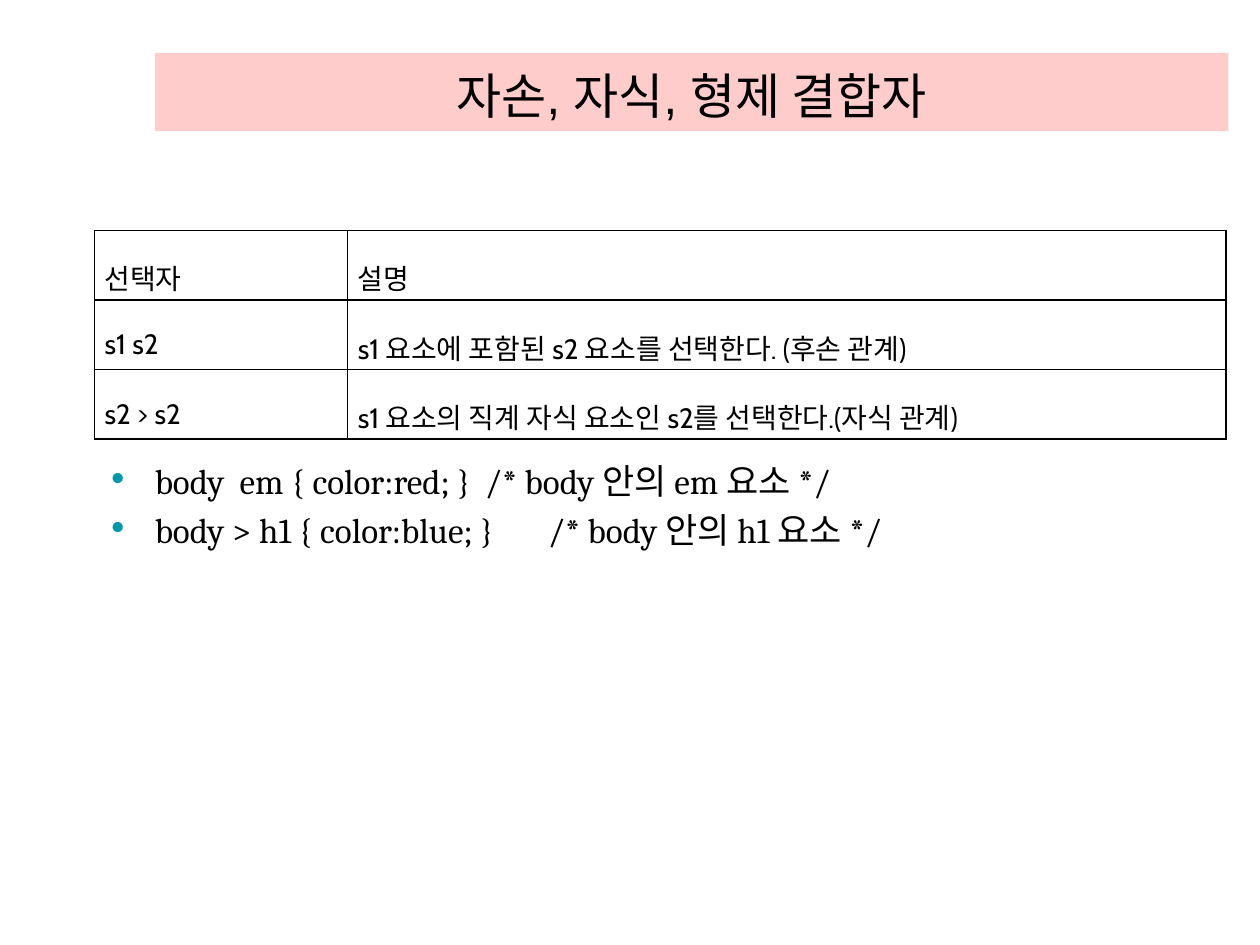
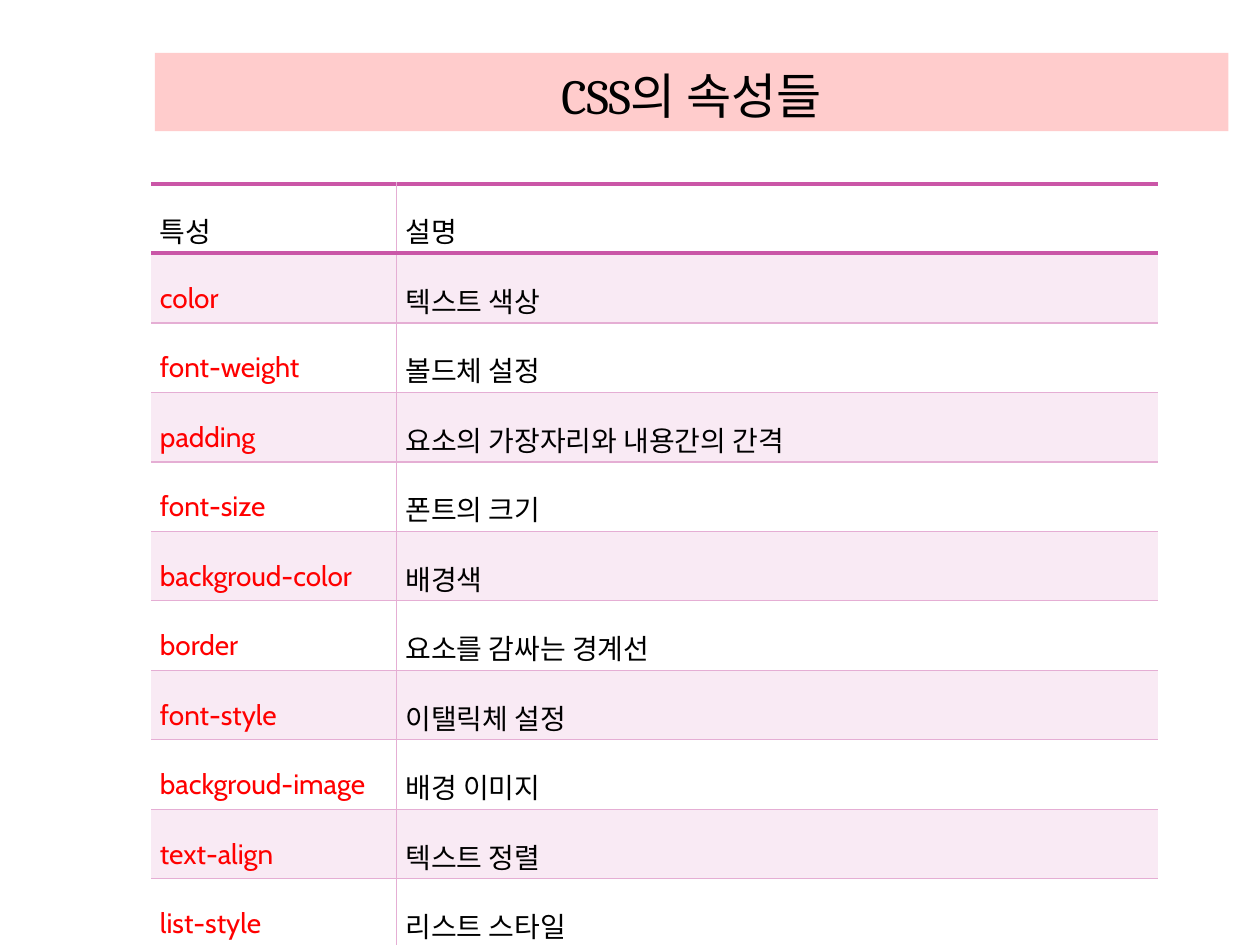
from lxml import etree
from pptx import Presentation
from pptx.dml.color import RGBColor
from pptx.enum.text import MSO_ANCHOR, MSO_AUTO_SIZE, PP_ALIGN
from pptx.oxml.ns import qn
from pptx.util import Inches, Pt

BOTTOM, MIDDLE = MSO_ANCHOR.BOTTOM, MSO_ANCHOR.MIDDLE
CENTER, JUSTIFY = PP_ALIGN.CENTER, PP_ALIGN.JUSTIFY
FIXED = MSO_AUTO_SIZE.NONE

HUES = {
    "ink": "000000",
    "paper": "FFFFFF",
    "band": "FFCCCC",
    "bullet": "0097A7",
    "key": "FF0000",
    "tint": "F9EAF4",
    "thin": "E5AED4",
    "thick": "CA56A7",
}
GRID = ("ink", 1)
THIN = ("thin", 0.75)
THICK = ("thick", 2.55)

PICKS = [
    ("선택자", "설명"),
    ("s1 s2", "s1 요소에 포함된 s2 요소를 선택한다. (후손 관계)"),
    ("s2 > s2", "s1 요소의 직계 자식 요소인 s2를 선택한다.(자식 관계)"),
]
RULES = [
    "body  em { color:red; }\t/* body 안의 em 요소 */",
    "body > h1 { color:blue; }\t/* body 안의 h1 요소 */",
]
PROPS = [
    ("특성", "설명"),
    ("color", "텍스트 색상"),
    ("font-weight", "볼드체 설정"),
    ("padding", "요소의 가장자리와 내용간의 간격"),
    ("font-size", "폰트의 크기"),
    ("backgroud-color", "배경색"),
    ("border", "요소를 감싸는 경계선"),
    ("font-style", "이탤릭체 설정"),
    ("backgroud-image", "배경 이미지"),
    ("text-align", "텍스트 정렬"),
    ("list-style", "리스트 스타일"),
]


def tone(name):
    return RGBColor.from_string(HUES[name])


class Deck:
    def __init__(self):
        self.prs = Presentation()
        self.prs.slide_width, self.prs.slide_height = Inches(10), Inches(7.5)
        self.slide = None

    def font(self, para, face, size, hue="ink"):
        para.font.name, para.font.size = face, Pt(size)
        para.font.color.rgb = tone(hue)

    def title(self, text, face):
        self.slide = self.prs.slides.add_slide(self.prs.slide_layouts[5])
        box = self.slide.shapes.title
        box.left, box.top = Inches(1.23), Inches(0.42)
        box.width, box.height = Inches(8.52), Inches(0.62)
        box.fill.solid()
        box.fill.fore_color.rgb = tone("band")
        frame = box.text_frame
        frame.text = text
        frame.auto_size = FIXED
        frame.vertical_anchor = BOTTOM
        para = frame.paragraphs[0]
        para.alignment = CENTER
        self.font(para, face, 28)

    def border(self, cell, lines):
        props = cell._tc.get_or_add_tcPr()
        for spot, (side, line) in enumerate(zip("LRTB", lines)):
            edge = etree.Element(qn(f"a:ln{side}"))
            if line:
                hue, width = line
                edge.set("w", str(Pt(width)))
                fill = etree.SubElement(edge, qn("a:solidFill"))
                etree.SubElement(fill, qn("a:srgbClr"), val=HUES[hue])
            else:
                etree.SubElement(edge, qn("a:noFill"))
            props.insert(spot, edge)

    def table(self, left, top, widths, high, rows, pad, look):
        shape = self.slide.shapes.add_table(
            len(rows), len(widths), Inches(left), Inches(top),
            Inches(sum(widths)), Inches(high * len(rows)))
        grid = shape.table
        grid.first_row = grid.horz_banding = False
        for col, width in zip(grid.columns, widths):
            col.width = Inches(width)
        for i, texts in enumerate(rows):
            grid.rows[i].height = Inches(high)
            for j, text in enumerate(texts):
                cell = grid.cell(i, j)
                hue, fill, lines = look(i, j)
                cell.text = text
                cell.vertical_anchor = MIDDLE
                cell.margin_left = cell.margin_right = Inches(pad)
                cell.margin_top = cell.margin_bottom = Inches(0.02)
                if fill:
                    cell.fill.solid()
                    cell.fill.fore_color.rgb = tone(fill)
                else:
                    cell.fill.background()
                self.border(cell, lines)
                para = cell.text_frame.paragraphs[0]
                para.alignment, para.line_spacing = JUSTIFY, 1.6
                self.font(para, "Cabin", 16, hue)

    def bullets(self, left, top, width, height, lines):
        box = self.slide.shapes.add_textbox(
            Inches(left), Inches(top), Inches(width), Inches(height))
        frame = box.text_frame
        frame.word_wrap = True
        for i, line in enumerate(lines):
            para = frame.add_paragraph() if i else frame.paragraphs[0]
            para.text = line
            if i:
                para.space_before = Pt(4)
            props = para._p.get_or_add_pPr()
            props.set("marL", str(Inches(0.38)))
            props.set("indent", str(-Inches(0.38)))
            color = etree.SubElement(props, qn("a:buClr"))
            etree.SubElement(color, qn("a:srgbClr"), val=HUES["bullet"])
            etree.SubElement(props, qn("a:buChar"), char="∙")
            self.font(para, "Cambria", 20)


def plain(row, col):
    return "ink", None, [GRID] * 4


def striped(row, col):
    hue = "key" if row and col == 0 else "ink"
    fill = "tint" if row % 2 else "paper"
    upper = THICK if row < 2 else THIN
    lower = THICK if row in (0, len(PROPS) - 1) else THIN
    sides = (THIN, None) if col else (None, THIN)
    return hue, fill, [*sides, upper, lower]


def main():
    deck = Deck()
    deck.title("자손, 자식, 형제 결합자", "Arial")
    deck.table(0.75, 1.83, (2.01, 6.97), 0.44, PICKS, 0.08, plain)
    deck.bullets(0.75, 3.6, 8.98, 1.77, RULES)

    deck.title("CSS의 속성들", "Cambria")
    deck.table(1.2, 1.46, (1.95, 6.04), 0.43, PROPS, 0.07, striped)
    deck.prs.save("out.pptx")


if __name__ == "__main__":
    main()
